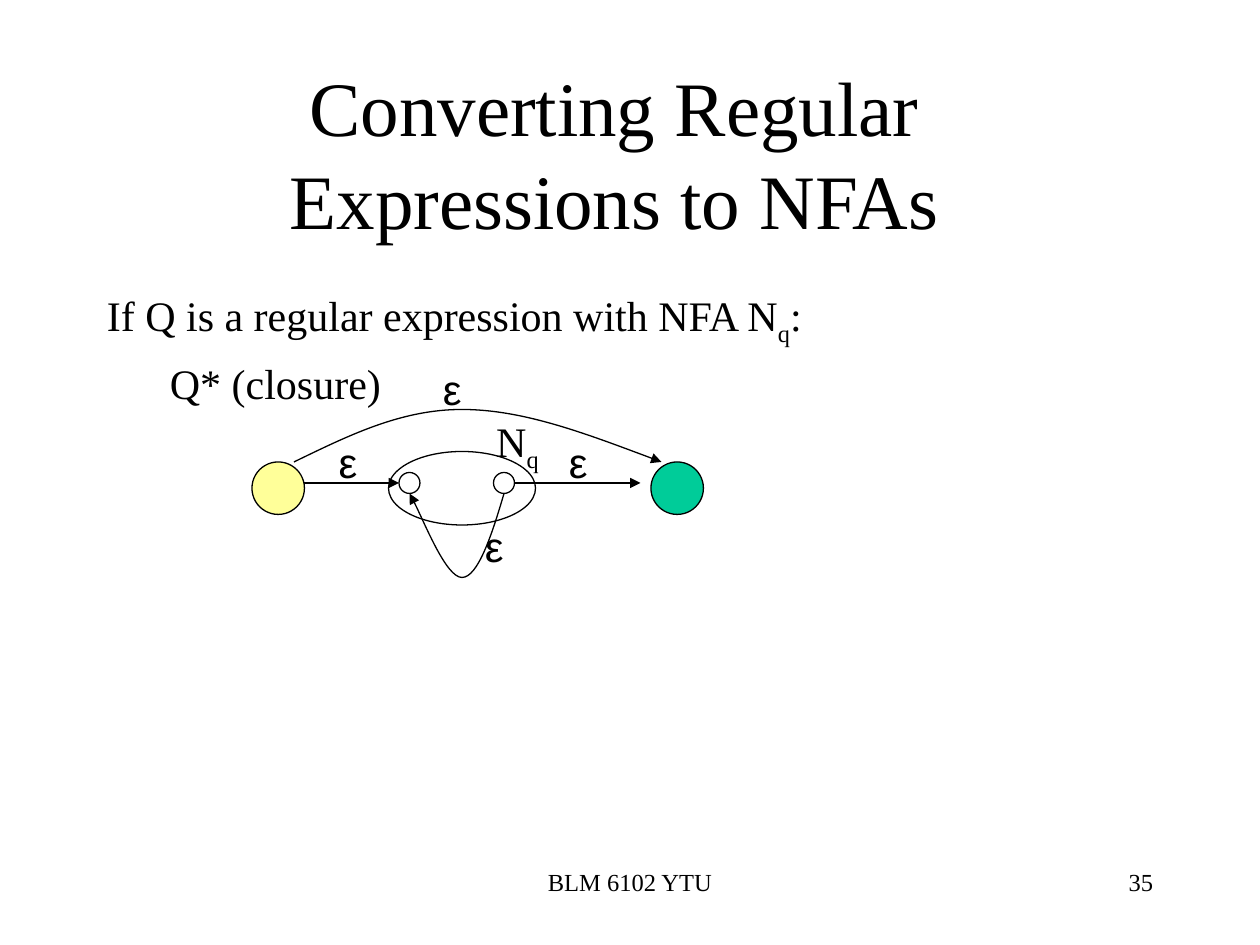
from pptx import Presentation
from pptx.dml.color import RGBColor
from pptx.enum import shapes, text
from pptx.oxml.ns import qn
from pptx.util import Pt
from lxml import etree

INK = {"black": "000000", "start": "FFFF99", "end": "00CC99"}
SERIF, SANS = "Times New Roman", "Arial"
LEFT, MID, RIGHT = text.PP_ALIGN.LEFT, text.PP_ALIGN.CENTER, text.PP_ALIGN.RIGHT

TITLE = "Converting Regular Expressions to NFAs"
BODY = [
    (0, [("If Q is a regular expression with NFA N", 0), ("q", 1), (":", 0)]),
    (36, [("Q* (closure)", 0)]),
]
NOTES = [
    ("BLM 6102 YTU", (246, 492, 228, 36), MID),
    ("35", (516, 492, 150, 36), RIGHT),
]
NODES = [
    ((222, 258, 84, 42), None),
    ((282, 270, 12, 12), None),
    ((228, 270, 12, 12), None),
    ((144, 264, 30, 30), "start"),
    ((372, 264, 30, 30), "end"),
]
EPS = [(186.5, 246), (318, 246), (270, 294), (246, 204)]
LINES = [((294, 276), (366, 276)), ((174, 276), (228, 276))]
CURVES = [
    [(168, 264), (199, 249), (229, 234), (264, 234),
     (299, 234), (338, 249), (378, 264)],
    [(288, 282), (281, 306), (273, 330), (264, 330),
     (255, 330), (239, 290), (234, 282)],
]

prs = Presentation()
prs.slide_width, prs.slide_height = Pt(720), Pt(540)
slide = prs.slides.add_slide(prs.slide_layouts[6])
tree = slide.shapes


def hue(key):
    return RGBColor.from_string(INK[key])


def write(box, paras, size, font=SERIF, align=LEFT, wrap=True):
    frame = tree.add_textbox(*map(Pt, box)).text_frame
    frame.word_wrap = wrap
    for i, (indent, runs) in enumerate(paras):
        para = frame.add_paragraph() if i else frame.paragraphs[0]
        para.alignment = align
        if indent:
            para._p.get_or_add_pPr().set("marL", str(Pt(indent)))
        if i:
            para.space_before = Pt(6)
        for words, sub in runs:
            run = para.add_run()
            run.text = words
            run.font.size, run.font.name = Pt(size), font
            run.font.color.rgb = hue("black")
            if sub:
                run.font._element.set("baseline", "-25000")
    return frame


def plain(words):
    return [(0, [(words, 0)])]


def stroke(shape, arrow=False):
    shape.line.color.rgb = hue("black")
    shape.line.width = Pt(0.75)
    if arrow:
        ln = shape.line._get_or_add_ln()
        etree.SubElement(ln, qn("a:tailEnd"), type="triangle")


def bend(shape):
    route = shape._element.find(".//" + qn("a:path"))
    steps = route.findall(qn("a:lnTo"))
    for i in range(0, len(steps), 3):
        cubic = etree.SubElement(route, qn("a:cubicBezTo"))
        for step in steps[i:i + 3]:
            cubic.append(step[0])
            route.remove(step)


for words, box, align in NOTES:
    write(box, plain(words), 14, align=align)
head = write((60, 48, 582, 78), plain(TITLE), 44, align=MID)
head.vertical_anchor = text.MSO_ANCHOR.MIDDLE
write((54, 162, 612, 324), BODY, 24)

for box, fill in NODES:
    node = tree.add_shape(shapes.MSO_SHAPE.OVAL, *map(Pt, box))
    node.shadow.inherit = False
    if fill:
        node.fill.solid()
        node.fill.fore_color.rgb = hue(fill)
    else:
        node.fill.background()
    stroke(node)

write((276.5, 234, 39, 40), [(0, [("N", 0), ("q", 1)])], 24, wrap=False)
for x, y in EPS:
    write((x, y, 24.5, 36), plain("ε"), 24, SANS, wrap=False)

for a, b in LINES:
    line = tree.add_connector(shapes.MSO_CONNECTOR.STRAIGHT, *map(Pt, a + b))
    stroke(line, True)
    etree.SubElement(line._element.spPr, qn("a:effectLst"))

for first, *rest in CURVES:
    pen = tree.build_freeform(*first, scale=Pt(1))
    pen.add_line_segments(rest, close=False)
    curve = pen.convert_to_shape()
    curve.shadow.inherit = False
    curve.fill.background()
    bend(curve)
    stroke(curve, True)

prs.save("out.pptx")
